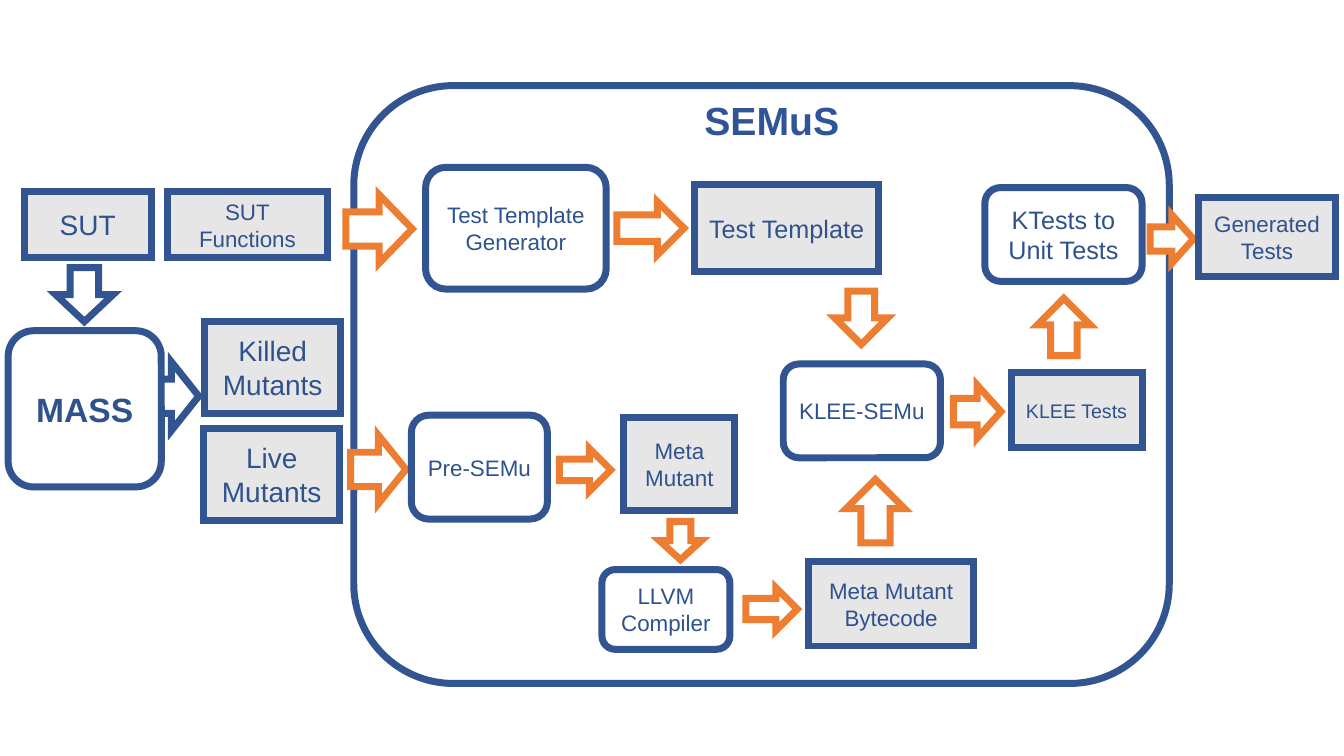
"""Build the SEMuS test generation workflow slide."""
from lxml import etree
from pptx import Presentation
from pptx.dml.color import RGBColor
from pptx.enum.shapes import MSO_SHAPE as SHAPE
from pptx.enum.text import MSO_ANCHOR as ANCHOR, PP_ALIGN as ALIGN
from pptx.oxml.ns import qn
from pptx.util import Pt

NAVY, ORANGE, INK = "325491", "ED7D31", "2F528F"
WHITE, GREY = "FFFFFF", "E7E6E6"
RIGHT, DOWN, UP = 0, 90, 270


def color(hex_code):
    return RGBColor.from_string(hex_code)


def add_outlined(kind, bounds, fill, line):
    shape = slide.shapes.add_shape(kind, *map(Pt, bounds))
    shape.shadow.inherit = False
    shape.fill.solid()
    shape.fill.fore_color.rgb = color(fill)
    shape.line.color.rgb = color(line)
    shape.line.width = Pt(5)
    etree.SubElement(shape.line._get_or_add_ln(), qn("a:miter"), lim="800000")
    return shape


prs = Presentation()
prs.slide_width, prs.slide_height = Pt(960), Pt(540)
slide = prs.slides.add_slide(prs.slide_layouts[6])

mass_output = add_outlined(SHAPE.RIGHT_ARROW, (103, 258.5, 39, 49), WHITE, NAVY)
mass_input = add_outlined(SHAPE.RIGHT_ARROW, (41, 190, 38.5, 41), WHITE, NAVY)
mass_input.rotation = DOWN
semus = add_outlined(SHAPE.ROUNDED_RECTANGLE, (252.7, 61.2, 582.5, 427), WHITE, NAVY)

heading = slide.shapes.add_textbox(Pt(496), Pt(65.5), Pt(111.6), Pt(41)).text_frame
heading.word_wrap = False
heading.text = "SEMuS"
title_font = heading.paragraphs[0].font
title_font.name, title_font.size, title_font.bold = "Arial", Pt(28), True
title_font.color.rgb = color("2F5597")

flows = [
    (RIGHT, 250.5, 310.8, 39.5, 49),
    (RIGHT, 247, 139, 47.5, 49),
    (RIGHT, 440.6, 144, 48, 38),
    (RIGHT, 399.6, 320.4, 36.7, 30.5),
    (RIGHT, 532.8, 419.8, 36.7, 30.5),
    (RIGHT, 681, 275, 34, 38),
    (RIGHT, 821.5, 153.4, 31, 34.6),
    (DOWN, 596.2, 208, 38, 38),
    (DOWN, 472.3, 371, 27.4, 30.2),
    (UP, 602.6, 344.2, 45.4, 41.8),
    (UP, 739.4, 214.6, 41, 38),
]
for turn, *bounds in flows:
    flow = add_outlined(SHAPE.RIGHT_ARROW, bounds, WHITE, ORANGE)
    flow.rotation = turn

processes = [
    ("MASS", 24, 5.8, 236.2, 109.4, 111.6),
    ("Test Template Generator", 16, 304, 119.5, 129, 87),
    ("Pre-SEMu", 16, 293.8, 296.6, 97.2, 74.2),
    ("LLVM\vCompiler", 16, 430, 406.8, 91.4, 57),
    ("KLEE-SEMu", 16, 559.5, 260, 112.3, 67),
    ("KTests to Unit Tests", 18, 703.5, 134, 112.3, 67),
]
artifacts = [
    ("SUT", 20, 17.3, 136.8, 90.7, 47.5),
    ("SUT\vFunctions", 16, 119.5, 136.8, 114.5, 47.5),
    ("Killed\nMutants", 20, 146.2, 229.7, 97.2, 65.5),
    ("Live\nMutants", 20, 145.5, 306, 97.2, 65.5),
    ("Test Template", 18, 496, 131.8, 131.8, 62),
    ("Meta Mutant", 16, 445.7, 298, 79.2, 67),
    ("Meta Mutant Bytecode", 16, 577.5, 401, 118, 60.5),
    ("KLEE Tests", 14, 722.2, 266.4, 93.6, 53.3),
    ("Generated\vTests", 16, 856, 141, 98, 56.2),
]
for kind, fill, stages in (
    (SHAPE.ROUNDED_RECTANGLE, WHITE, processes),
    (SHAPE.RECTANGLE, GREY, artifacts),
):
    for label, size, *bounds in stages:
        stage = add_outlined(kind, bounds, fill, NAVY)
        frame = stage.text_frame
        frame.word_wrap = True
        frame.vertical_anchor = ANCHOR.MIDDLE
        frame.text = label
        for paragraph in frame.paragraphs:
            paragraph.alignment = ALIGN.CENTER
            paragraph.font.name = "Arial"
            paragraph.font.size = Pt(size)
            paragraph.font.bold = label == "MASS"
            paragraph.font.color.rgb = color(INK)

prs.save("out.pptx")
